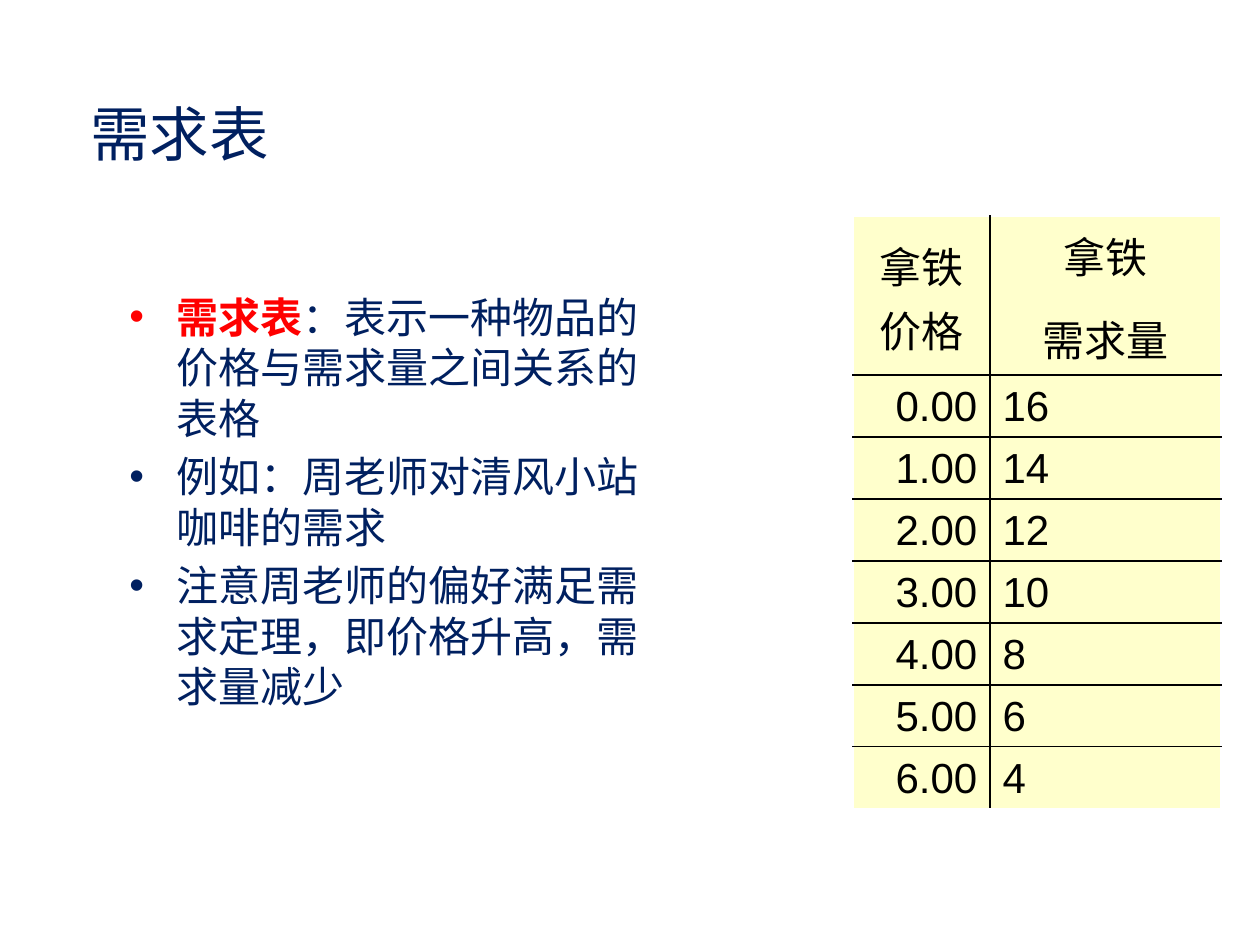
from lxml import etree
from pptx import Presentation
from pptx import util as u
from pptx.dml.color import RGBColor
from pptx.enum import text
from pptx.oxml.ns import qn

NAVY = RGBColor(0x00, 0x20, 0x60)
RED = RGBColor(0xFF, 0x00, 0x00)
BLACK = RGBColor(0x00, 0x00, 0x00)
CREAM = RGBColor(0xFF, 0xFF, 0xCC)
SANS, HAN = "Arial", "Noto Sans CJK SC"
ALIGN = text.PP_ALIGN

TERM = "需求表"
POINTS = [
    [(TERM, RED), ("：表示一种物品的价格与需求量之间关系的表格", NAVY)],
    [("例如：周老师对清风小站咖啡的需求", NAVY)],
    [("注意周老师的偏好满足需求定理，即价格升高，需求量减少", NAVY)],
]
HEADS = ["拿铁价格", "拿铁\n需求量"]
DEMAND = [(price, 16 - 2 * price) for price in range(7)]


def px(n):
    return u.Emu(n * 914400 // 126)


def style(font, size, face, color):
    font.size, font.name = u.Pt(size), face
    font.color.rgb = color
    # Chinese glyphs take the East Asian face
    han = etree.SubElement(font._element, qn("a:ea"))
    han.set("typeface", HAN)


def add_box(slide, left, top, width, height):
    frame = slide.shapes.add_textbox(px(left), px(top), px(width), px(height)).text_frame
    frame.word_wrap = True
    return frame


def add_title(slide):
    frame = add_box(slide, 78, 80, 260, 105)
    frame.vertical_anchor = text.MSO_ANCHOR.MIDDLE
    para = frame.paragraphs[0]
    para.text = TERM
    style(para.font, 34, HAN, NAVY)


def add_points(slide):
    frame = add_box(slide, 117, 285, 563, 445)
    for i, parts in enumerate(POINTS):
        para = frame.paragraphs[0] if i == 0 else frame.add_paragraph()
        if i:
            para.space_before = u.Pt(4.8)
        props = para._p.get_or_add_pPr()
        props.set("marL", str(px(47)))
        props.set("indent", str(-px(47)))
        etree.SubElement(props, qn("a:buFont")).set("typeface", SANS)
        etree.SubElement(props, qn("a:buChar")).set("char", "•")
        style(para.font, 24, HAN, NAVY)
        for words, color in parts:
            run = para.add_run()
            run.text = words
            if color == RED:
                run.font.bold = True
            run.font.color.rgb = color


def add_rule(cell, side):
    line = etree.Element(qn("a:ln" + side), w=str(u.Pt(1)))
    fill = etree.SubElement(line, qn("a:solidFill"))
    etree.SubElement(fill, qn("a:srgbClr")).set("val", str(BLACK))
    # Borders come before the fill, in the order L, R, T, B
    props = cell._tc.get_or_add_tcPr()
    spot = sum(child.tag.startswith(qn("a:ln")) for child in props)
    props.insert(spot, line)


def fill_cell(cell, words, align):
    cell.fill.solid()
    cell.fill.fore_color.rgb = CREAM
    cell.vertical_anchor = text.MSO_ANCHOR.MIDDLE
    cell.margin_top = cell.margin_bottom = px(4)
    cell.text = words
    for i, para in enumerate(cell.text_frame.paragraphs):
        para.alignment, para.line_spacing = align, 1.05
        if i:
            para.space_before = u.Pt(10.8)
        style(para.font, 24, SANS, BLACK)


def add_grid(slide):
    rows = [HEADS] + [(f"{price:.2f}", str(count)) for price, count in DEMAND]
    last = len(rows) - 1
    frame = slide.shapes.add_table(len(rows), 2, px(853), px(216), px(368), px(594))
    grid = frame.table
    grid.first_row = grid.horz_banding = False
    for col, width in zip(grid.columns, (137, 231)):
        col.width = px(width)
    for r, row in enumerate(rows):
        grid.rows[r].height = px(62 if r else 159)
        for c, words in enumerate(row):
            cell = grid.cell(r, c)
            align = (ALIGN.RIGHT, ALIGN.LEFT)[c] if r else ALIGN.CENTER
            fill_cell(cell, words, align)
            # Inner rules only
            add_rule(cell, "L" if c else "R")
            if r:
                add_rule(cell, "T")
            if r < last:
                add_rule(cell, "B")


def main():
    deck = Presentation()
    deck.slide_width, deck.slide_height = u.Inches(10), u.Inches(7.5)
    slide = deck.slides.add_slide(deck.slide_layouts[6])
    add_title(slide)
    add_points(slide)
    add_grid(slide)
    deck.save("out.pptx")


if __name__ == "__main__":
    main()
